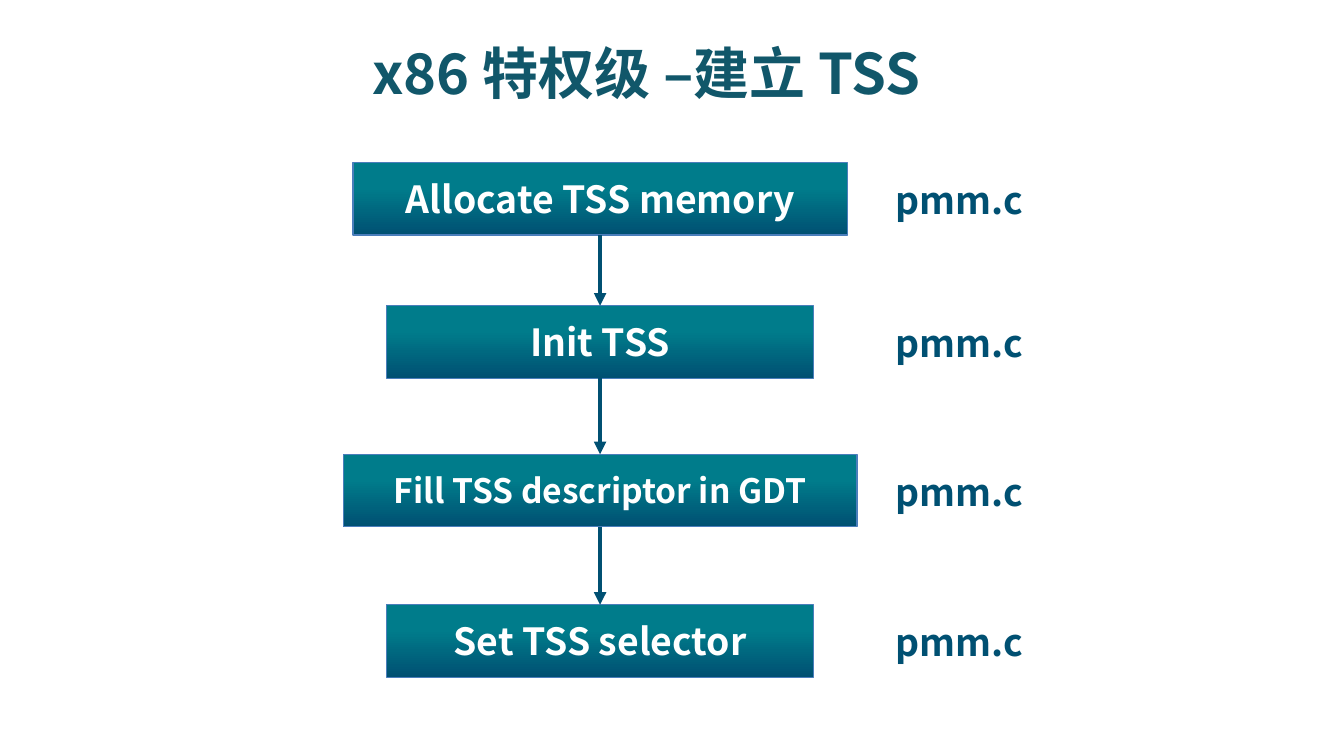
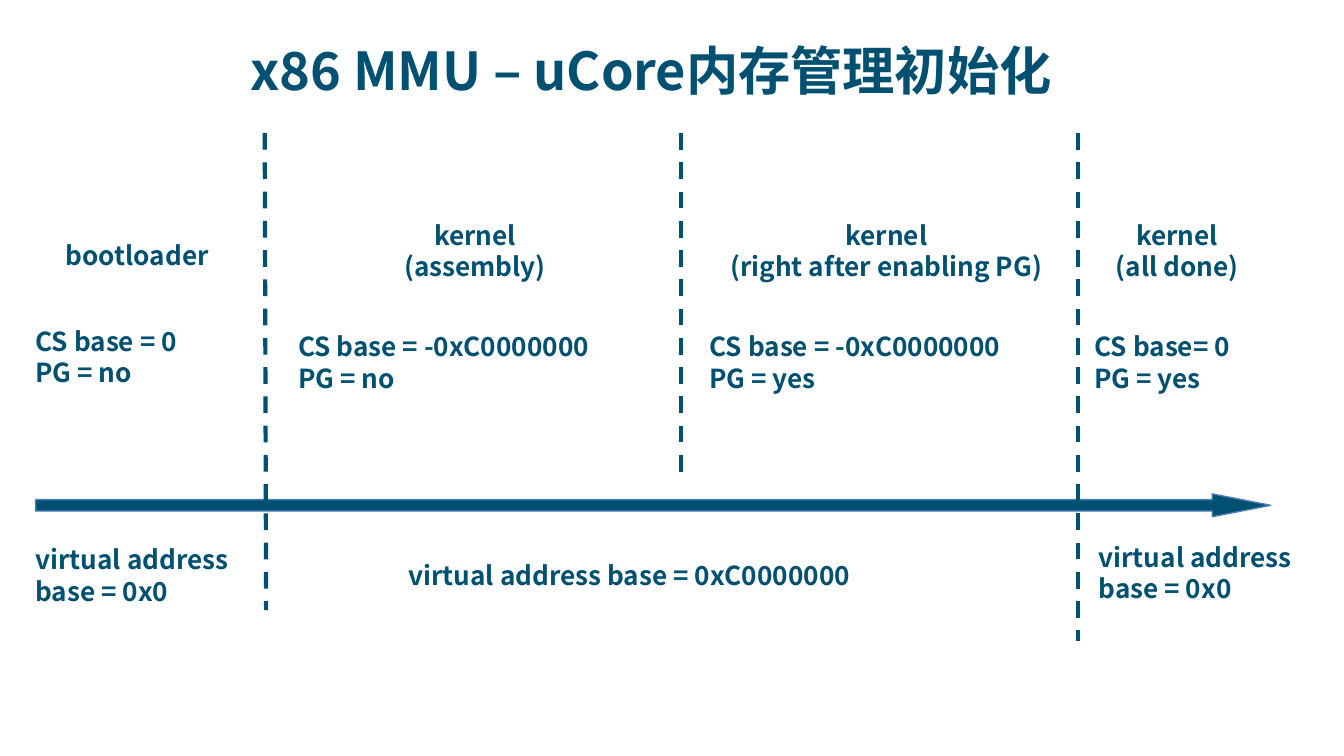
from dataclasses import dataclass
from lxml.etree import SubElement
from pptx import Presentation
from pptx.dml.color import RGBColor
from pptx.enum.dml import MSO_LINE
from pptx.enum.shapes import MSO_CONNECTOR, MSO_SHAPE
from pptx.enum.text import MSO_ANCHOR, MSO_AUTO_SIZE, PP_ALIGN
from pptx.oxml.ns import qn
from pptx.util import Pt


@dataclass(frozen=True)
class Theme:
    font: str = "Noto Sans CJK SC"
    navy: RGBColor = RGBColor(0x00, 0x50, 0x72)
    teal: RGBColor = RGBColor(0x00, 0x7C, 0x8B)
    slate: RGBColor = RGBColor(0x11, 0x57, 0x6A)
    edge: RGBColor = RGBColor(0x4A, 0x7E, 0xBB)
    white: RGBColor = RGBColor(0xFF, 0xFF, 0xFF)
    head: int = 30
    subhead: int = 28
    step: int = 20
    tight: int = 18
    note: int = 14
    thin: float = 0.75
    thick: float = 2.25


theme = Theme()
PX = 4572  # 200 px to the inch
LEFT, MID = PP_ALIGN.LEFT, PP_ALIGN.CENTER


def write(shape, text, size, color=theme.navy, align=LEFT):
    """Fill a shape with bold text, one paragraph per line."""
    frame = shape.text_frame
    for i, line in enumerate(text.split("\n")):
        para = frame.paragraphs[0] if i == 0 else frame.add_paragraph()
        para.alignment = align
        run = para.add_run()
        run.text = line
        run.font.name, run.font.size, run.font.bold = theme.font, Pt(size), True
        run.font.color.rgb = color
        SubElement(run.font._element, qn("a:ea"), typeface=theme.font)


def label(slide, box, text, size, align=LEFT):
    """Add a text box that grows with its text and does not wrap."""
    shape = slide.shapes.add_textbox(*[v * PX for v in box])
    shape.text_frame.word_wrap = False
    shape.text_frame.auto_size = MSO_AUTO_SIZE.SHAPE_TO_FIT_TEXT
    write(shape, text, size, align=align)


deck = Presentation()
deck.slide_width, deck.slide_height = 2000 * PX, 1125 * PX

# Titles
slides = []
for text, size, color, box in [
    ("x86 特权级 –建立 TSS", theme.head, theme.slate, (534, 47, 1128, 122)),
    ("x86 MMU – uCore内存管理初始化", theme.subhead, theme.navy,
     (353, 47, 1386, 114)),
]:
    slide = deck.slides.add_slide(deck.slide_layouts[5])
    title = slide.shapes.title
    title.left, title.top, title.width, title.height = [v * PX for v in box]
    title.text_frame.vertical_anchor = MSO_ANCHOR.TOP
    title.text_frame.auto_size = MSO_AUTO_SIZE.SHAPE_TO_FIT_TEXT
    write(title, text, size, color)
    slides.append(slide)
flow, stages = slides

# Slide 1: steps on one axis, each with its source file
AXIS = 893
steps = []
for text, top, width, size in [
    ("Allocate TSS memory", 242, 736, theme.step),
    ("Init TSS", 455, 636, theme.step),
    ("Fill TSS descriptor in GDT", 676, 764, theme.tight),
    ("Set TSS selector", 900, 636, theme.step),
]:
    step = flow.shapes.add_shape(
        MSO_SHAPE.FLOWCHART_PROCESS,
        (AXIS - width // 2) * PX, top * PX, width * PX, 108 * PX)
    step.shadow.inherit = False
    step.fill.gradient()
    step.fill.gradient_angle = 270
    for stop, place, color in zip(step.fill.gradient_stops, (0.35, 1),
                                  (theme.teal, theme.navy)):
        stop.position, stop.color.rgb = place, color
    step.line.color.rgb, step.line.width = theme.edge, Pt(theme.thin)
    step.text_frame.vertical_anchor = MSO_ANCHOR.MIDDLE
    write(step, text, size, theme.white, MID)
    label(flow, (1313, top + 12, 234, 88), "pmm.c", theme.step)
    steps.append(step)

lines = []
for upper, lower in zip(steps, steps[1:]):
    line = flow.shapes.add_connector(MSO_CONNECTOR.STRAIGHT, 0, 0, 0, 0)
    line.begin_connect(upper, 2)
    line.end_connect(lower, 0)
    SubElement(line.get_or_add_ln(), qn("a:tailEnd"), type="triangle")
    lines.append(line)

# Slide 2: stages along a time arrow
arrow = stages.shapes.add_shape(
    MSO_SHAPE.RIGHT_ARROW, 53 * PX, 735 * PX, 1838 * PX, 34 * PX)
arrow.adjustments[0], arrow.adjustments[1] = 0.5, 2.56
arrow.shadow.inherit = False
arrow.fill.solid()
arrow.fill.fore_color.rgb = theme.navy
arrow.line.color.rgb, arrow.line.width = theme.edge, Pt(theme.thin)

for top_x, end_x, end_y in [(394, 396, 908), (1014, 1014, 714),
                            (1604, 1604, 954)]:
    line = stages.shapes.add_connector(
        MSO_CONNECTOR.STRAIGHT, top_x * PX, 198 * PX, end_x * PX, end_y * PX)
    line.line.dash_style = MSO_LINE.DASH
    lines.append(line)

for line in lines:
    line.line.color.rgb, line.line.width = theme.navy, Pt(theme.thick)
    SubElement(line._element.spPr, qn("a:effectLst"))

for box, text, align in [
    ((78, 346, 280, 66), "bootloader", LEFT),
    ((566, 316, 282, 114), "kernel\n(assembly)", MID),
    ((1034, 316, 570, 114), "kernel\n(right after enabling PG)", MID),
    ((1628, 316, 248, 114), "kernel\n(all done)", MID),
    ((33, 474, 290, 116), "CS base = 0\nPG = no", LEFT),
    ((424, 482, 550, 116), "CS base = -0xC0000000\nPG = no", LEFT),
    ((1036, 482, 550, 116), "CS base = -0xC0000000\nPG = yes", LEFT),
    ((1609, 482, 280, 116), "CS base= 0\nPG = yes", LEFT),
    ((33, 799, 368, 116), "virtual address\nbase = 0x0", LEFT),
    ((588, 823, 804, 70), "virtual address base = 0xC0000000", LEFT),
    ((1615, 795, 368, 116), "virtual address\nbase = 0x0", LEFT),
]:
    label(stages, box, text, theme.note, align)

deck.save("out.pptx")
